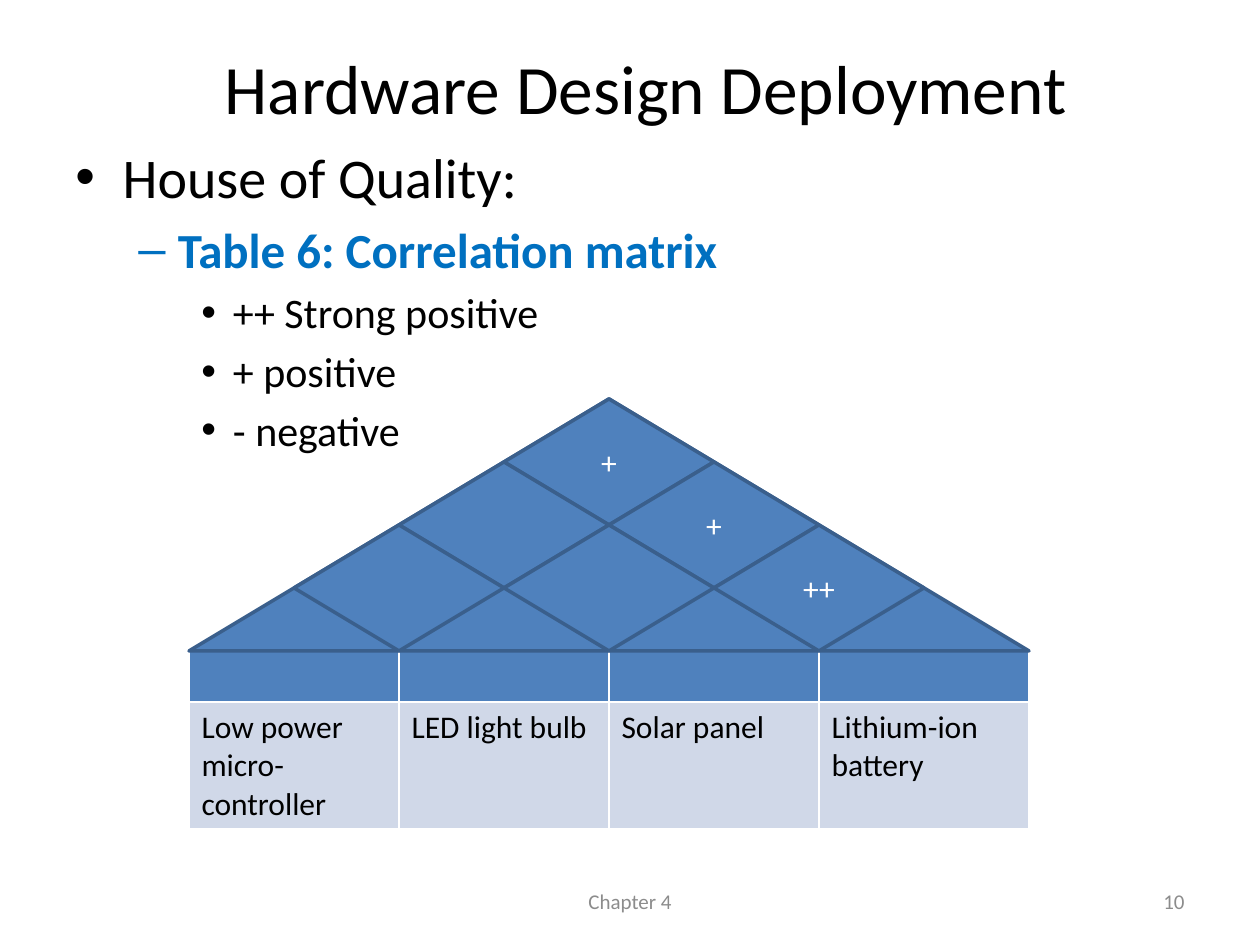
from lxml import etree
from pptx import Presentation
from pptx.dml.color import RGBColor
from pptx.enum.shapes import MSO_SHAPE
from pptx.enum.text import MSO_ANCHOR, PP_ALIGN
from pptx.oxml.ns import qn
from pptx.util import Pt

TRIANGLE, DIAMOND = MSO_SHAPE.ISOSCELES_TRIANGLE, MSO_SHAPE.DIAMOND
TOP, MIDDLE = MSO_ANCHOR.TOP, MSO_ANCHOR.MIDDLE
LEFT, CENTER, RIGHT = PP_ALIGN.LEFT, PP_ALIGN.CENTER, PP_ALIGN.RIGHT

FONT = "Calibri"
COLORS = {"black": "000000", "white": "FFFFFF", "accent": "0070C0", "grey": "8C8C8C",
          "roof": "4F81BD", "edge": "3A5F8C", "cell": "D0D8E8"}
# Per level: bullet, left margin, hanging indent, and font values
LEVELS = [("•", 27, 27, {"size": 32}),
          ("–", 58.5, 22.5, {"size": 28, "color": "accent", "bold": True}),
          ("•", 90, 18, {"size": 24})]
OUTLINE = [(0, "House of Quality:"), (1, "Table 6: Correlation matrix"),
           (2, "++ Strong positive"), (2, "+ positive"), (2, "- negative")]
PARTS = ["Low power micro-controller", "LED light bulb", "Solar panel", "Lithium-ion battery"]
# Diamond marks, keyed by (tier from the top, place in the tier)
MARKS = {(0, 0): "+", (1, 1): "+", (2, 2): "++"}


def rgb(name):
    """Return the named colour."""
    return RGBColor.from_string(COLORS[name])


def write(p, text, size=18, color="black", bold=False, align=LEFT):
    """Put one formatted run into a paragraph."""
    p.alignment = align
    r = p.add_run()
    r.text = text
    for key, value in {"name": FONT, "size": Pt(size), "bold": bold}.items():
        setattr(r.font, key, value)
    r.font.color.rgb = rgb(color)


def add_box(s, box, anchor=MIDDLE):
    """Add an empty wrapping text box and return its text frame."""
    tf = s.shapes.add_textbox(*map(Pt, box)).text_frame
    tf.word_wrap = True
    tf.vertical_anchor = anchor
    return tf


def add_label(s, box, text, **fmt):
    """Add a single-line label: title, footer or slide number."""
    write(add_box(s, box).paragraphs[0], text, **fmt)


def add_outline(s, box, items):
    """Add the bulleted outline, styled by level."""
    tf = add_box(s, box, TOP)
    for i, (level, text) in enumerate(items):
        bullet, margin, hang, fmt = LEVELS[level]
        p = tf.paragraphs[0] if i == 0 else tf.add_paragraph()
        p.level = level
        p.space_before = Pt(0.2 * fmt["size"])
        write(p, text, **fmt)
        pPr = p._p.get_or_add_pPr()
        pPr.set("marL", str(Pt(margin)))
        pPr.set("indent", str(-Pt(hang)))
        etree.SubElement(pPr, qn("a:buFont"), typeface="Arial")
        etree.SubElement(pPr, qn("a:buChar"), char=bullet)


def set_borders(cell, color, width):
    """Draw all four borders of a cell ahead of its fill."""
    tcPr = cell._tc.get_or_add_tcPr()
    for i, side in enumerate(("a:lnL", "a:lnR", "a:lnT", "a:lnB")):
        ln = etree.Element(qn(side), w=str(Pt(width)))
        fill = etree.SubElement(ln, qn("a:solidFill"))
        etree.SubElement(fill, qn("a:srgbClr"), val=COLORS[color])
        tcPr.insert(i, ln)


def add_parts_table(s, box, parts):
    """Add the table of parts under an empty header row."""
    left, top, width, height = box
    header = 29.2
    table = s.shapes.add_table(2, len(parts), *map(Pt, box)).table
    for row, h in zip(table.rows, (header, height - header)):
        row.height = Pt(h)
    for col, text in enumerate(parts):
        table.columns[col].width = Pt(width / len(parts))
        for row, fill in enumerate(("roof", "cell")):
            cell = table.cell(row, col)
            cell.fill.solid()
            cell.fill.fore_color.rgb = rgb(fill)
            set_borders(cell, "white", 1)
        write(table.cell(1, col).text_frame.paragraphs[0], text)


def add_roof_shape(group, kind, box, text=""):
    """Add one outlined piece of the roof, with its mark if any."""
    sp = group.shapes.add_shape(kind, *map(Pt, box))
    sp.shadow.inherit = False
    sp.fill.solid()
    sp.fill.fore_color.rgb = rgb("roof")
    sp.line.color.rgb = rgb("edge")
    sp.line.width = Pt(2)
    if text:
        sp.text_frame.vertical_anchor = MIDDLE
        write(sp.text_frame.paragraphs[0], text, color="white", align=CENTER)


def add_roof(s, box, count, marks):
    """Add the triangular correlation matrix for a number of parts."""
    left, top, width, height = box
    w, h = width / count, 2 * height / count
    group = s.shapes.add_group_shape()
    add_roof_shape(group, TRIANGLE, box)
    for tier in range(count - 1):
        x = left + (width - (tier + 1) * w) / 2
        for i in range(tier + 1):
            place = (x + i * w, top + tier * h / 2, w, h)
            add_roof_shape(group, DIAMOND, place, marks.get((tier, i), ""))


def build_slide(prs):
    """Build the house of quality slide."""
    s = prs.slides.add_slide(prs.slide_layouts[6])
    add_label(s, (54, 21.6, 630, 56.2), "Hardware Design Deployment", size=39.6, align=CENTER)
    add_outline(s, (36, 77.8, 660, 192), OUTLINE)
    add_parts_table(s, (108, 372, 480, 101.6), PARTS)
    add_roof(s, (108, 228, 480, 144), len(PARTS), MARKS)
    footer = {"size": 12, "color": "grey"}
    add_label(s, (246, 500.5, 228, 28.8), "Chapter 4", align=CENTER, **footer)
    add_label(s, (516, 500.5, 168, 28.8), "10", align=RIGHT, **footer)


prs = Presentation()
prs.slide_width, prs.slide_height = Pt(720), Pt(540)
build_slide(prs)
prs.save("out.pptx")
